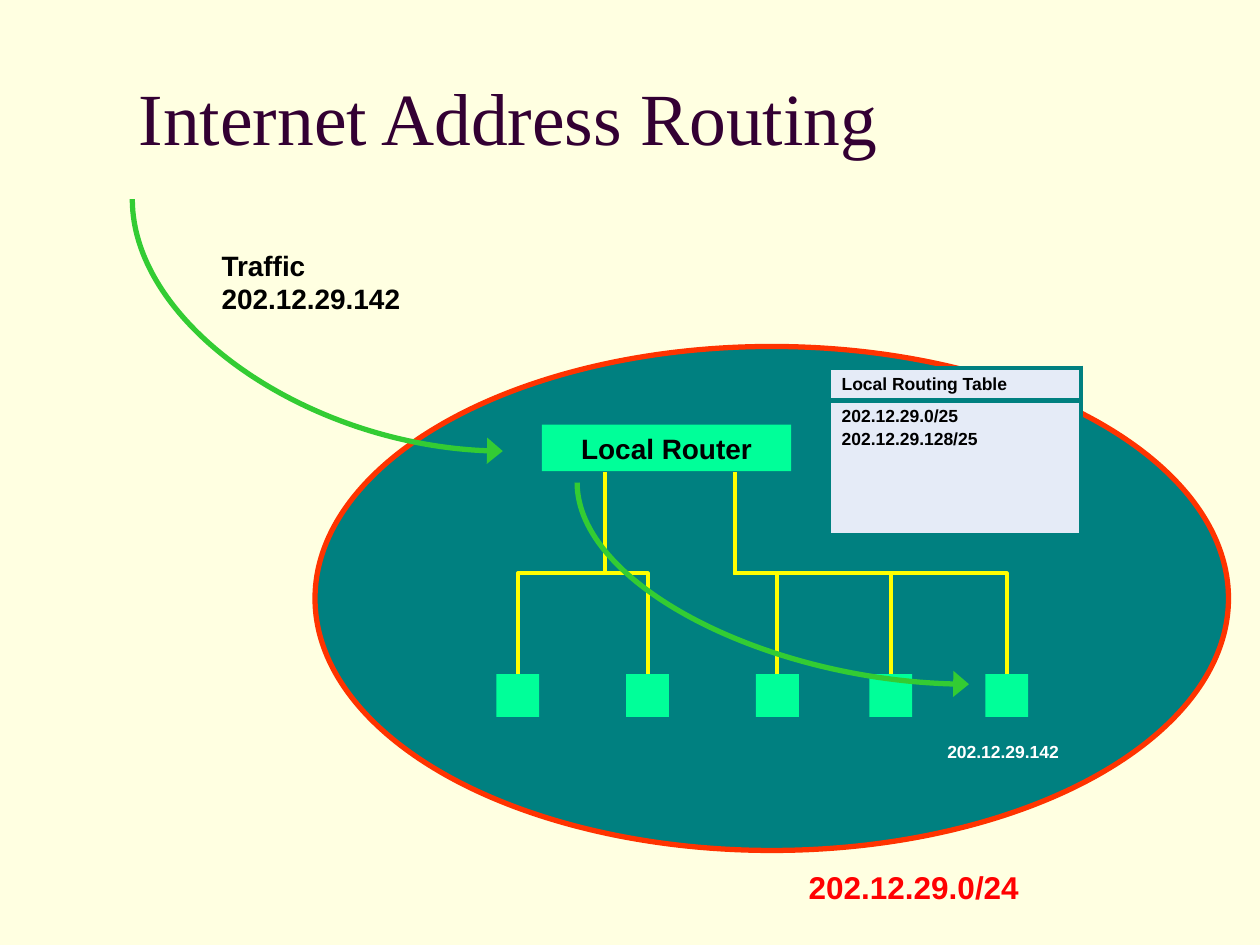
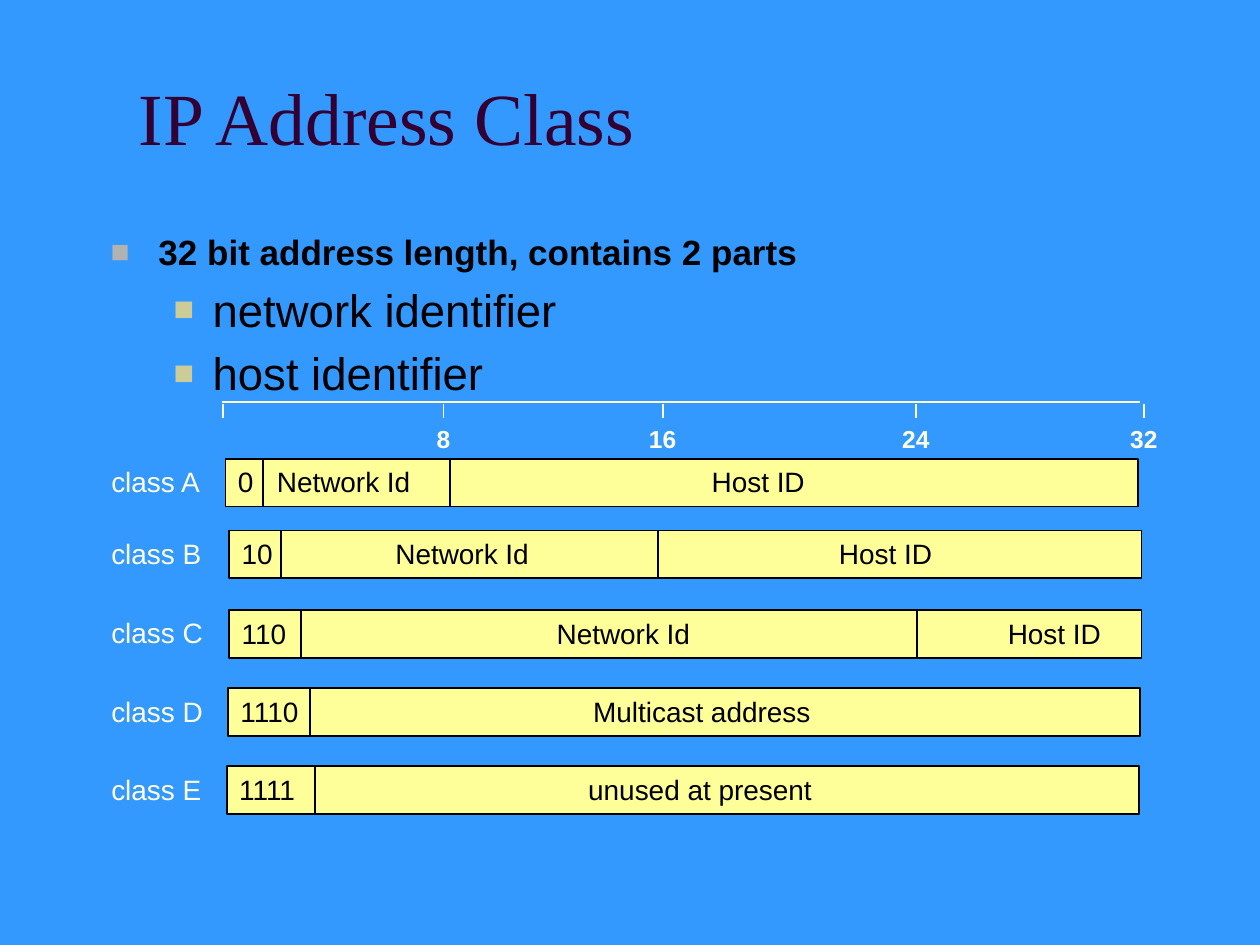
import collections

import lxml.etree
import pptx
import pptx.dml.color
import pptx.enum.shapes
import pptx.enum.text
import pptx.oxml.ns
import pptx.util

Color = pptx.dml.color.RGBColor
Shapes = pptx.enum.shapes.MSO_SHAPE
Connectors = pptx.enum.shapes.MSO_CONNECTOR
Align = pptx.enum.text.PP_ALIGN
Anchor = pptx.enum.text.MSO_ANCHOR
Box = collections.namedtuple("Box", "left top width height")

CREAM = Color(0xFF, 0xFF, 0xE1)
SKY = Color(0x33, 0x99, 0xFF)
PLUM = Color(0x33, 0x00, 0x33)
TEAL = Color(0x00, 0x80, 0x80)
ORANGE = Color(0xFF, 0x33, 0x00)
GREEN = Color(0x33, 0xCC, 0x33)
MINT = Color(0x00, 0xFF, 0x99)
YELLOW = Color(0xFF, 0xFF, 0x00)
PALE_YELLOW = Color(0xFF, 0xFF, 0x99)
PALE_BLUE = Color(0xE5, 0xEB, 0xF7)
RED = Color(0xFF, 0x01, 0x01)
BLACK = Color(0, 0, 0)
WHITE = Color(0xFF, 0xFF, 0xFF)
SILVER = Color(0xB2, 0xB2, 0xB2)
KHAKI = Color(0xCC, 0xCC, 0x99)

SLIDE_WIDTH = pptx.util.Inches(10)
SLIDE_HEIGHT = pptx.util.Inches(7.5)
COLUMN = SLIDE_WIDTH / 100
ROW = SLIDE_HEIGHT / 75
TITLE_BOX = Box(10, 3, 85, 12.5)


def columns(count):
    return pptx.util.Emu(round(count * COLUMN))


def rows(count):
    return pptx.util.Emu(round(count * ROW))


def place(box):
    return columns(box.left), rows(box.top), columns(box.width), rows(box.height)


def within(region, left, top, width=0, height=0):
    return Box(region.left + left, region.top + top, width, height)


def add_element(parent, tag, **attributes):
    element = lxml.etree.SubElement(parent, pptx.oxml.ns.qn(tag))
    for name, value in attributes.items():
        element.set(name, str(value))
    return element


def write(para, text, size, color=BLACK, bold=False, font="Arial"):
    span = para.add_run()
    span.text = text
    span.font.name = font
    span.font.size = pptx.util.Pt(size)
    span.font.bold = bold
    span.font.color.rgb = color


def set_tabs(para, stops, align="l"):
    tabs = add_element(para._p.get_or_add_pPr(), "a:tabLst")
    for stop in stops:
        add_element(tabs, "a:tab", pos=columns(stop), algn=align)


def add_text(page, box, lines, size, color=BLACK, bold=False, wrap=True):
    frame = page.shapes.add_textbox(*place(box)).text_frame
    frame.word_wrap = wrap
    for index, line in enumerate(lines):
        para = frame.add_paragraph() if index else frame.paragraphs[0]
        write(para, line, size, color, bold)
    return frame


def add_block(page, box, fill, line=None, weight=1, kind=Shapes.RECTANGLE):
    block = page.shapes.add_shape(kind, *place(box))
    block.shadow.inherit = False
    block.fill.solid()
    block.fill.fore_color.rgb = fill
    if line is None:
        block.line.fill.background()
    else:
        block.line.color.rgb = line
        block.line.width = pptx.util.Pt(weight)
    return block


def add_line(page, box, color, weight, kind=Connectors.STRAIGHT):
    left, top, width, height = place(box)
    line = page.shapes.add_connector(kind, left, top, left + width, top + height)
    line.line.color.rgb = color
    line.line.width = pptx.util.Pt(weight)
    add_element(line._element.spPr, "a:effectLst")
    return line


def add_curved_arrow(page, box):
    curve = add_line(page, box, GREEN, 3, Connectors.CURVE)
    properties = curve._element.spPr
    properties.find(pptx.oxml.ns.qn("a:prstGeom")).set("prst", "curvedConnector2")
    properties.find(pptx.oxml.ns.qn("a:xfrm")).set("rot", "10800000")
    outline = properties.find(pptx.oxml.ns.qn("a:ln"))
    add_element(outline, "a:headEnd", type="triangle", w="lg", len="med")


def add_branch(page, start, reach, drop):
    middle_left = start.left + reach / 2
    middle_top = start.top + drop / 2
    box = Box(middle_left - drop / 2, middle_top - abs(reach) / 2, drop, abs(reach))
    branch = add_line(page, box, YELLOW, 2.25, Connectors.ELBOW)
    frame = branch._element.spPr.find(pptx.oxml.ns.qn("a:xfrm"))
    frame.set("rot", "5400000" if reach < 0 else "16200000")
    if reach > 0:
        frame.set("flipH", "1")


def add_page(deck, title, background):
    page = deck.slides.add_slide(deck.slide_layouts[5])
    page.background.fill.solid()
    page.background.fill.fore_color.rgb = background
    holder = page.shapes.title
    holder.left, holder.top, holder.width, holder.height = place(TITLE_BOX)
    frame = holder.text_frame
    frame.auto_size = pptx.enum.text.MSO_AUTO_SIZE.NONE
    frame.vertical_anchor = Anchor.MIDDLE
    frame.paragraphs[0].alignment = Align.LEFT
    write(frame.paragraphs[0], title, 42, PLUM, font="Times New Roman")
    return page


def add_traffic(page, region):
    add_curved_arrow(page, region)
    label = within(region, 6.1, 3.4, 25.1, 6.4)
    add_text(page, label, ["Traffic", "202.12.29.142"], 16, bold=True)


def add_routing_table(page, region):
    table = page.shapes.add_table(2, 1, *place(region)).table
    table.first_row = False
    table.horz_banding = False
    table.columns[0].width = columns(region.width)
    contents = (
        (2.6, Anchor.MIDDLE, ["Local Routing Table"]),
        (10.7, Anchor.TOP, ["202.12.29.0/25", "202.12.29.128/25"]),
    )
    for index, (height, anchor, lines) in enumerate(contents):
        table.rows[index].height = rows(height)
        cell = table.cell(index, 0)
        cell.vertical_anchor = anchor
        for number, line in enumerate(lines):
            frame = cell.text_frame
            para = frame.add_paragraph() if number else frame.paragraphs[0]
            para.space_before = pptx.util.Pt(2)
            write(para, line, 10, bold=True)
        properties = cell._tc.get_or_add_tcPr()
        for side in ("a:lnL", "a:lnR", "a:lnT", "a:lnB"):
            border = add_element(properties, side, w=pptx.util.Pt(3))
            fill = add_element(border, "a:solidFill")
            add_element(fill, "a:srgbClr", val=TEAL)
        cell.fill.solid()
        cell.fill.fore_color.rgb = PALE_BLUE


def add_network(page, region):
    add_block(page, region, TEAL, ORANGE, 3, Shapes.OVAL)
    add_routing_table(page, within(region, 40.8, 1.7, 20, 13.3))
    router = add_block(page, within(region, 18, 6.2, 19.8, 3.7), MINT)
    frame = router.text_frame
    frame.vertical_anchor = Anchor.MIDDLE
    frame.paragraphs[0].alignment = Align.CENTER
    write(frame.paragraphs[0], "Local Router", 16, bold=True)

    host_size, port_top, host_top = 3.4, 10, 26
    for port, hosts in ((23, (16.1, 26.4)), (33.3, (36.7, 45.7, 54.9))):
        for host in hosts:
            start = within(region, port, port_top)
            add_branch(page, start, host - port, host_top - port_top)
            left = host - host_size / 2
            add_block(page, within(region, left, host_top, host_size, host_size), MINT)
    add_text(page, within(region, 49.2, 30.8, 13, 2.8), ["202.12.29.142"], 10, WHITE, True)
    add_curved_arrow(page, within(region, 20.8, 10.8, 31.1, 16))
    add_text(page, within(region, 38.2, 40.9, 18.7, 4), ["202.12.29.0/24"], 18, RED, True, False)


def add_bullets(page, region):
    frame = page.shapes.add_textbox(*place(region)).text_frame
    frame.word_wrap = True
    first = ("32 bit address length, contains 2 parts", 20, True, 0, 3.8, 3.8, SILVER, 90)
    second = (26, False, 1, 8.1, 3.1, KHAKI, 75)
    items = (first, ("network identifier", *second), ("host identifier", *second))
    for index, (text, size, bold, level, margin, hang, color, scale) in enumerate(items):
        para = frame.add_paragraph() if index else frame.paragraphs[0]
        para.level = level
        if level:
            para.space_before = pptx.util.Pt(size * 0.2)
        properties = para._p.get_or_add_pPr()
        properties.set("marL", str(columns(margin)))
        properties.set("indent", str(-columns(hang)))
        tint = add_element(properties, "a:buClr")
        add_element(tint, "a:srgbClr", val=color)
        add_element(properties, "a:buSzPct", val=scale * 1000)
        add_element(properties, "a:buFont", typeface="Arial")
        add_element(properties, "a:buChar", char="■")
        write(para, text, size, bold=bold)


def add_bit_ruler(page, region):
    add_line(page, region, CREAM, 1)
    marks = ((17.6, "8"), (35, "16"), (55.1, "24"), (73.2, "32"))
    for offset in (0.1, *(offset for offset, label in marks)):
        add_line(page, within(region, offset, 0.15, 0, 1.1), CREAM, 1)
    label_left, inset = 15.6, 1
    labels = "".join("\t" + label for offset, label in marks)
    frame = add_text(page, within(region, label_left, 1.3, 60.5, 3.3), [labels], 14, CREAM, True)
    set_tabs(frame.paragraphs[0], [mark[0] - label_left - inset for mark in marks], "ctr")


def add_address_class(page, region, name, prefix, fields):
    add_text(page, Box(7.85, region.top, 10.5, 3.7), [name], 16, CREAM)
    bar = add_block(page, region, PALE_YELLOW, BLACK)
    frame = bar.text_frame
    frame.vertical_anchor = Anchor.TOP
    para = frame.paragraphs[0]
    para.alignment = Align.LEFT
    set_tabs(para, [stop for divider, stop, text in fields])
    write(para, "\t".join([prefix, *(text for divider, stop, text in fields)]), 16)
    for divider, stop, text in fields:
        add_line(page, within(region, divider, 0.05, 0, 3.7), BLACK, 1)


def add_address_classes(page):
    classes = (
        ("class A", 17.9, 36.4, "0", ((3, 3.1, "Network Id"), (17.8, 37.6, "Host ID"))),
        ("class B", 18.2, 42.1, "10", ((4.1, 12.2, "Network Id"), (34, 47.4, "Host ID"))),
        ("class C", 18.2, 48.4, "110", ((5.7, 25, "Network Id"), (54.6, 60.8, "Host ID"))),
        ("class D", 18.1, 54.6, "1110", ((6.5, 28, "Multicast address"),)),
        ("class E", 18, 60.8, "1111", ((7, 27.7, "unused at present"),)),
    )
    for name, left, top, prefix, fields in classes:
        add_address_class(page, Box(left, top, 72.4, 3.8), name, prefix, fields)


def build_routing_page(deck):
    page = add_page(deck, "Internet Address Routing", CREAM)
    add_network(page, Box(25, 27.5, 72.5, 40))
    add_traffic(page, Box(10.5, 15.8, 29.4, 20))


def build_class_page(deck):
    page = add_page(deck, "IP Address Class", SKY)
    add_bullets(page, Box(7.8, 17.8, 85, 12))
    add_address_classes(page)
    add_bit_ruler(page, Box(17.6, 31.9, 72.9, 0))


deck = pptx.Presentation()
deck.slide_width = SLIDE_WIDTH
deck.slide_height = SLIDE_HEIGHT
build_routing_page(deck)
build_class_page(deck)
deck.save("out.pptx")
